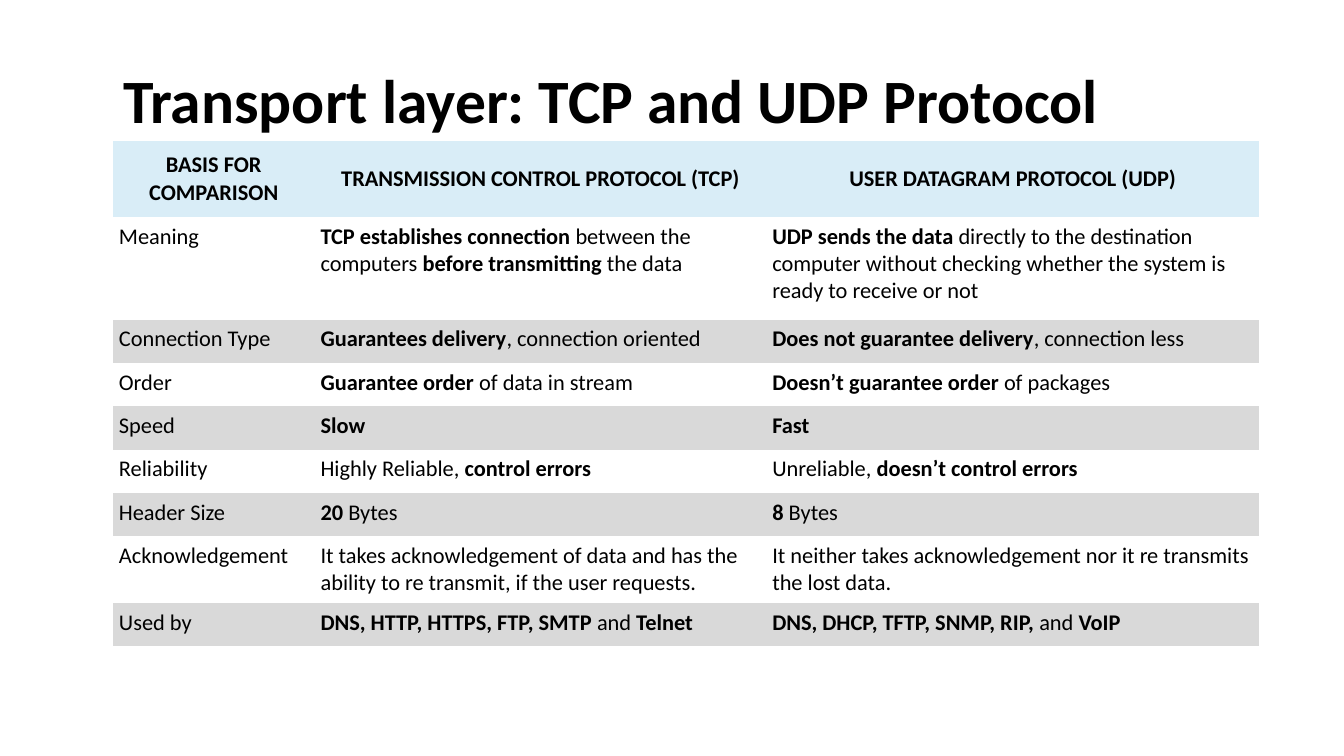
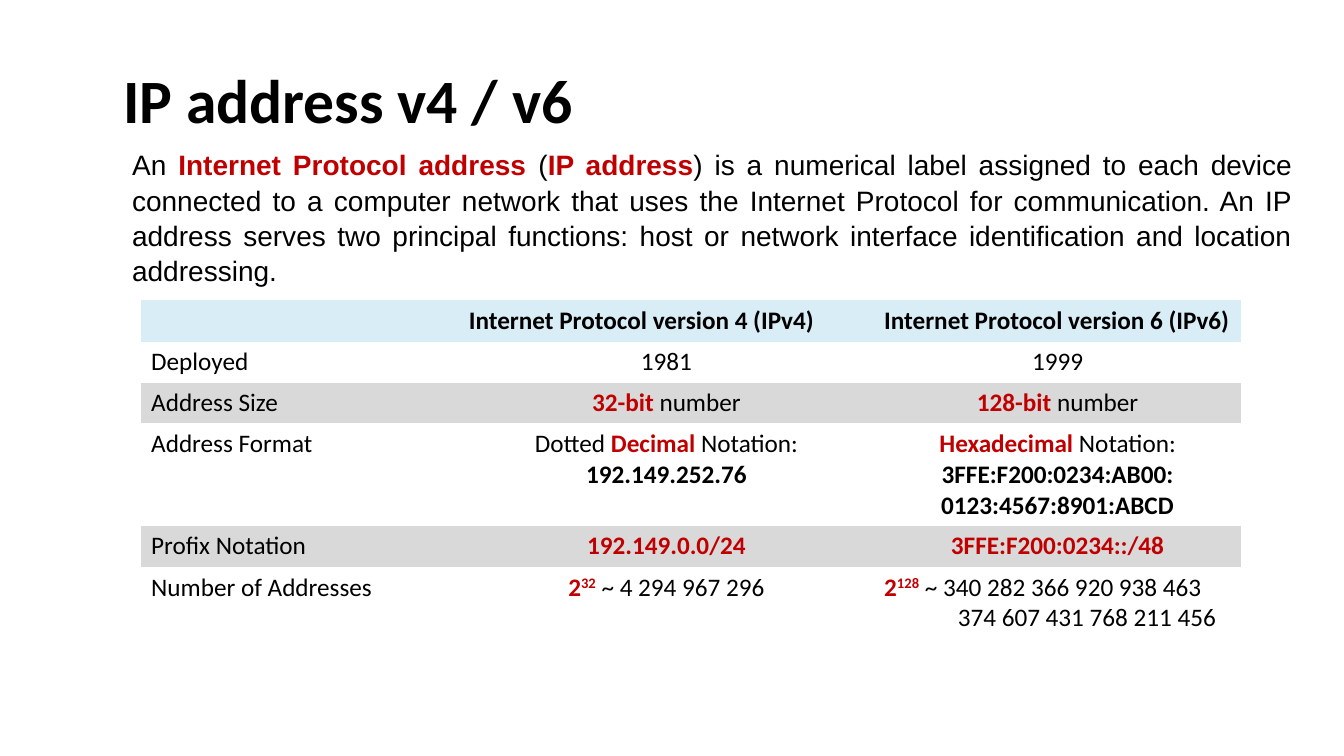
from dataclasses import dataclass

from pptx import Presentation
from pptx.dml.color import RGBColor
from pptx.enum.text import MSO_ANCHOR, MSO_AUTO_SIZE, PP_ALIGN
from pptx.oxml.ns import qn
from pptx.oxml.xmlchemy import OxmlElement
from pptx.util import Inches, Pt

BLACK = RGBColor(0x00, 0x00, 0x00)
RED = RGBColor(0xC0, 0x00, 0x00)
HEADER = RGBColor(0xD9, 0xED, 0xF7)
BAND = RGBColor(0xD9, 0xD9, 0xD9)
NO_STYLE = "{2D5ABB26-0587-4C30-8999-92F81FD0307C}"
LEFT, CENTER = PP_ALIGN.LEFT, PP_ALIGN.CENTER
MARKS = {"*": (BLACK, True), "!": (RED, True), "^": (RED, True)}


@dataclass
class Hanging:
    text: str
    indent: float


@dataclass
class Grid:
    left: float
    top: float
    cols: list[float]
    heights: list[float]
    rows: list[list[str | Hanging]]
    size: int
    header_align: PP_ALIGN
    body_align: PP_ALIGN
    header_anchor: MSO_ANCHOR
    margins: tuple[float, float]


PROTOCOLS = Grid(
    1.12, 1.4, [2, 4.48, 4.89], [0.75, 1.02] + [0.43] * 7,
    [
        ["*BASIS FOR COMPARISON", "*TRANSMISSION CONTROL PROTOCOL (TCP)",
         "*USER DATAGRAM PROTOCOL (UDP)"],
        ["Meaning",
         "*TCP establishes connection |between the computers |*before transmitting |the data",
         "*UDP sends the data |directly to the destination computer without checking "
         "whether the system is ready to receive or not"],
        ["Connection Type", "*Guarantees delivery|, connection oriented",
         "*Does not guarantee delivery|, connection less"],
        ["Order", "*Guarantee order| of data in stream",
         "*Doesn’t guarantee order |of packages"],
        ["Speed", "*Slow", "*Fast"],
        ["Reliability", "Highly Reliable, |*control errors",
         "Unreliable, |*doesn’t control errors"],
        ["Header Size", "*20 |Bytes", "*8| Bytes"],
        ["Acknowledgement",
         "It takes acknowledgement of data and has the ability to re transmit, "
         "if the user requests.",
         "It neither takes acknowledgement nor it re transmits the lost data."],
        ["Used by", "*DNS, HTTP, HTTPS, FTP, SMTP |and|* Telnet",
         "*DNS, DHCP, TFTP, SNMP, RIP, |and|* VoIP"],
    ],
    16, CENTER, LEFT, MSO_ANCHOR.MIDDLE, (0.06, 0.06),
)

VERSIONS = Grid(
    1.4, 2.98, [3.15, 4.12, 3.64], [0.41, 0.4, 0.4, 1, 0.41, 0.7],
    [
        ["", "*Internet Protocol version 4 (IPv4)", "*Internet Protocol version 6 (IPv6)"],
        ["Deployed", "1981", "1999"],
        ["Address Size", "!32-bit| number", "!128-bit| number"],
        ["Address Format", "Dotted |!Decimal| Notation:\n*192.149.252.76",
         "!Hexadecimal| Notation:\n*3FFE:F200:0234:AB00:\n*0123:4567:8901:ABCD"],
        ["Profix Notation", "!192.149.0.0/24", "!3FFE:F200:0234::/48"],
        ["Number of Addresses", "!2|^32| ~ 4 294 967 296",
         Hanging("!2|^128| ~ 340 282 366 920 938 463 374 607 431 768 211 456", 0.73)],
    ],
    18, LEFT, CENTER, MSO_ANCHOR.TOP, (0.1, 0.05),
)

INTRO = (
    "An |!Internet Protocol address| (|!IP address|) is a numerical label assigned to "
    "each device connected to a computer network that uses the Internet Protocol for "
    "communication. An IP address serves two principal functions: host or network "
    "interface identification and location addressing."
)


def set_format(target: object, values: dict) -> None:
    """Set every named attribute on the target."""
    for name, value in values.items():
        setattr(target, name, value)


def write(tf, text: str, size: int, align: PP_ALIGN, font: str = "Calibri") -> None:
    """Fill a text frame with lines of runs marked * bold, ! red, ^ superscript."""
    for i, line in enumerate(text.split("\n")):
        p = tf.add_paragraph() if i else tf.paragraphs[0]
        p.alignment = align
        for part in filter(None, line.split("|")):
            color, bold = MARKS.get(part[0], (BLACK, False))
            r = p.add_run()
            r.text = part[1:] if part[0] in MARKS else part
            set_format(r.font, {"name": font, "size": Pt(size), "bold": bold})
            r.font.color.rgb = color
            if part[0] == "^":
                r.font._element.set("baseline", "30000")


def place(sp, left: float, top: float, width: float, height: float) -> None:
    """Move a placeholder and give it plain top-anchored text."""
    set_format(sp, {"left": Inches(left), "top": Inches(top),
                    "width": Inches(width), "height": Inches(height)})
    set_format(sp.text_frame, {"word_wrap": True, "auto_size": MSO_AUTO_SIZE.NONE,
                               "vertical_anchor": MSO_ANCHOR.TOP})


def add_slide(prs, layout: int, title: str):
    """Add a slide with the shared title style."""
    s = prs.slides.add_slide(prs.slide_layouts[layout])
    place(s.shapes.title, 1.12, 0.56, 11.46, 0.84)
    write(s.shapes.title.text_frame, "*" + title, 44, LEFT)
    return s


def add_intro(s, text: str) -> None:
    """Write the justified paragraph into the body placeholder."""
    sp = s.placeholders[1]
    place(sp, 1.21, 1.4, 11.71, 1.45)
    p = sp.text_frame.paragraphs[0]
    pPr = p._p.get_or_add_pPr()
    set_format(p, {"space_before": Pt(0), "line_spacing": 1.05})
    pPr.set("marL", "0")
    pPr.set("indent", "0")
    pPr.append(OxmlElement("a:buNone"))
    write(sp.text_frame, text, 20, PP_ALIGN.JUSTIFY, "Arial")


def add_grid(s, grid: Grid) -> None:
    """Draw a table with a blue header and grey bands."""
    frame = s.shapes.add_table(
        len(grid.rows), len(grid.cols), Inches(grid.left), Inches(grid.top),
        Inches(sum(grid.cols)), Inches(sum(grid.heights)))
    table = frame.table
    set_format(table, {"first_row": False, "horz_banding": False})
    table._tbl.tblPr.find(qn("a:tableStyleId")).text = NO_STYLE
    for col, width in zip(table.columns, grid.cols):
        col.width = Inches(width)
    side, edge = (Inches(m) for m in grid.margins)
    margins = {"margin_left": side, "margin_right": side,
               "margin_top": edge, "margin_bottom": edge}
    for i, (row, height, texts) in enumerate(zip(table.rows, grid.heights, grid.rows)):
        row.height = Inches(height)
        for j, (cell, item) in enumerate(zip(row.cells, texts)):
            set_format(cell, margins)
            cell.vertical_anchor = MSO_ANCHOR.TOP if i else grid.header_anchor
            if i % 2 and i:
                cell.fill.background()
            else:
                cell.fill.solid()
                cell.fill.fore_color.rgb = BAND if i else HEADER
            align = grid.header_align if i == 0 else grid.body_align if j else LEFT
            if isinstance(item, Hanging):
                write(cell.text_frame, item.text, grid.size, LEFT)
                pPr = cell.text_frame.paragraphs[0]._p.get_or_add_pPr()
                pPr.set("marL", str(Inches(item.indent)))
                pPr.set("indent", str(-Inches(item.indent)))
            else:
                write(cell.text_frame, item, grid.size, align)


def main() -> None:
    """Build and save the slides."""
    prs = Presentation()
    set_format(prs, {"slide_width": Inches(13.33), "slide_height": Inches(7.5)})
    s = add_slide(prs, 5, "Transport layer: TCP and UDP Protocol")
    add_grid(s, PROTOCOLS)
    s = add_slide(prs, 1, "IP address v4 / v6")
    add_intro(s, INTRO)
    add_grid(s, VERSIONS)
    prs.save("out.pptx")


if __name__ == "__main__":
    main()
